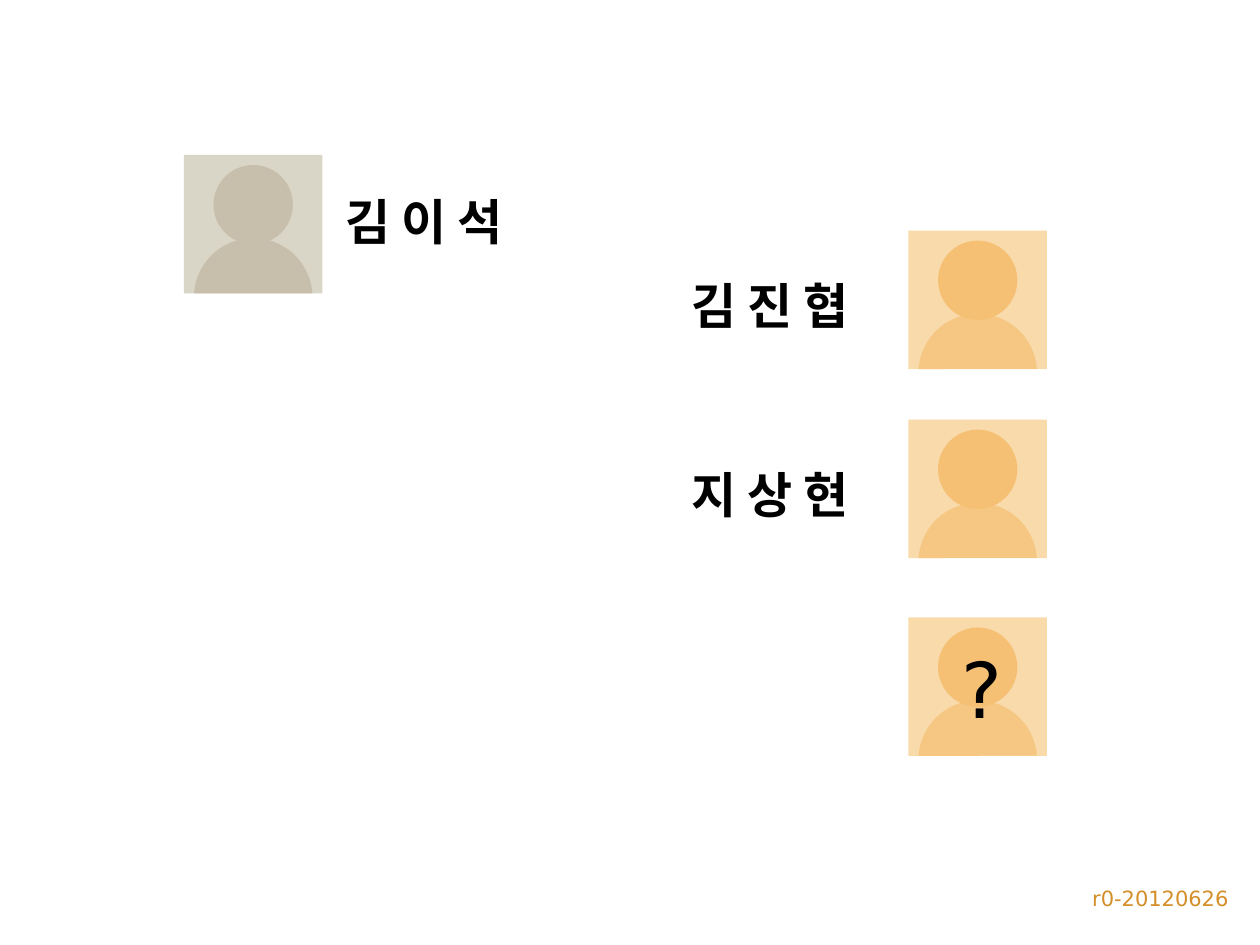
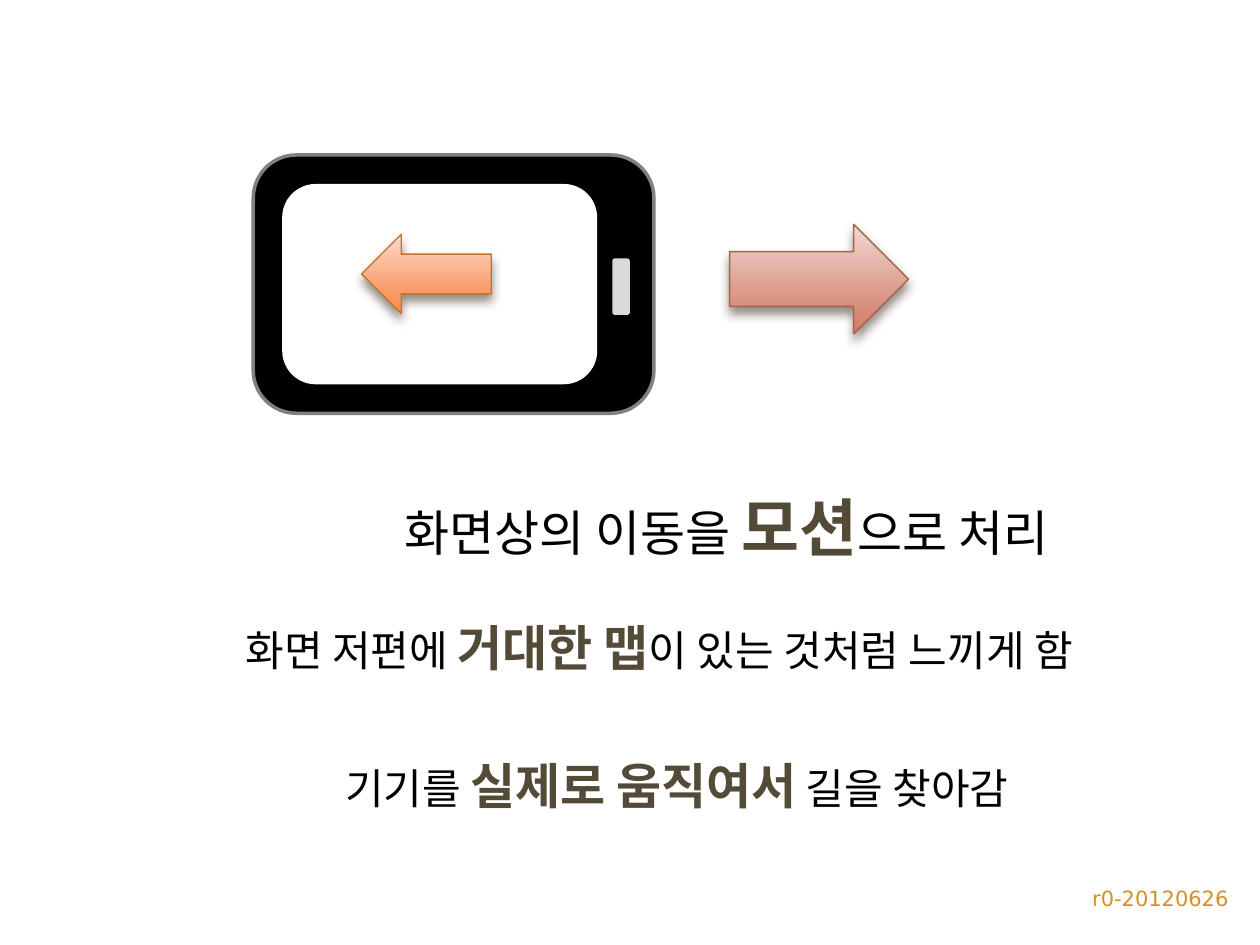
from copy import deepcopy
from pptx import Presentation
from pptx.dml.color import RGBColor
from pptx.enum.shapes import MSO_SHAPE
from pptx.enum.text import MSO_AUTO_SIZE, PP_ALIGN
from pptx.oxml import parse_xml
from pptx.oxml.ns import nsdecls, qn
from pptx.util import Inches, Pt

FONT = "DejaVu Sans"
BLACK, WHITE, BROWN, AMBER = "000000", "FFFFFF", "534B38", "D48F29"
FOOTER = "r0-20120626"

GREY = ("D9D5C7", "C7BFAC", "C7BFAC")
ORANGE = ("F9DAAB", "F6C782", "F5C073")
TILE, BODY, HEAD = 1.1, 0.94, 0.63
PEOPLE = [
    (1.46, 1.23, GREY),
    (7.21, 1.83, ORANGE),
    (7.21, 3.33, ORANGE),
    (7.21, 4.9, ORANGE),
]
NAMES = [
    ("김 이 석", (2.64, 1.47, 1.59, 0.57)),
    ("김 진 협", (5.39, 2.14, 1.58, 0.57)),
    ("지 상 현", (5.39, 3.64, 1.58, 0.57)),
]
UNKNOWN = ("?", (7.53, 5.04, 0.54, 0.84))

PHONE = [
    ((2.01, 1.23, 3.18, 2.05), BLACK, ("808080", 2)),
    ((2.24, 1.46, 2.5, 1.59), WHITE, None),
    ((4.86, 2.05, 0.14, 0.45), "D9D9D9", None),
]
ARROWS = [
    ((5.79, 1.78, 1.42, 0.87), ("F1D9D4", "D89180", "D47A62"), "A5644E", False),
    ((2.87, 1.86, 1.03, 0.63), ("FDDBCC", "F89B69", "FC8A43"), "C17529", True),
]
STOPS = (0, 0.72, 1)
POINTS = [
    (("화면상의 이동을 ", "모션", "으로 처리"), 28, 36, (3.11, 3.83, 5.64, 0.71)),
    (("화면 저편에 ", "거대한 맵", "이 있는 것처럼 느끼게 함"), 24, 28,
     (1.85, 4.85, 7.27, 0.57)),
    (("기기를 ", "실제로 움직여서", " 길을 찾아감"), 24, 28,
     (2.64, 5.95, 5.81, 0.57)),
]


def color(code):
    return RGBColor.from_string(code)


def place(box):
    return [Inches(n) for n in box]


def write(slide, text, box, size=28, fill=BLACK, bold=False, strong=None,
          align=PP_ALIGN.LEFT, wrap=False):
    frame = slide.shapes.add_textbox(*place(box)).text_frame
    frame.word_wrap = wrap
    frame.auto_size = MSO_AUTO_SIZE.NONE if wrap else MSO_AUTO_SIZE.SHAPE_TO_FIT_TEXT
    line = frame.paragraphs[0]
    line.alignment = align
    parts = [text] if isinstance(text, str) else text
    for i, part in enumerate(parts):
        key = strong is not None and i == 1
        run = line.add_run()
        run.text = part
        font = run.font
        font.name = FONT
        font.size = Pt(strong if key else size)
        font.bold = bold or key
        font.color.rgb = color(BROWN if key else fill)


def draw(shapes, kind, box, fill=None, line=None):
    shape = shapes.add_shape(kind, *place(box))
    shape.shadow.inherit = False
    if fill:
        shape.fill.solid()
        shape.fill.fore_color.rgb = color(fill)
    if line:
        shape.line.color.rgb = color(line[0])
        shape.line.width = Pt(line[1])
    else:
        shape.line.fill.background()
    return shape


def person(slide, x, y, tones):
    back, body, head = tones
    shapes = slide.shapes.add_group_shape().shapes
    draw(shapes, MSO_SHAPE.RECTANGLE, (x, y, TILE, TILE), back)
    bust = draw(shapes, MSO_SHAPE.CHORD,
                (x + (TILE - BODY) / 2, y + 0.66, BODY, BODY), body)
    bust.adjustments[0] = 110.27
    bust.adjustments[1] = 213.68
    draw(shapes, MSO_SHAPE.OVAL,
         (x + (TILE - HEAD) / 2, y + 0.08, HEAD, HEAD), head)


def arrow(slide, box, tones, edge, flip):
    shape = draw(slide.shapes, MSO_SHAPE.RIGHT_ARROW, box, line=(edge, 0.79))
    props = shape._element.spPr
    shape.fill.gradient()
    shape.fill.gradient_angle = 270
    stops = props.find(qn("a:gradFill")).find(qn("a:gsLst"))
    stops.append(deepcopy(stops[-1]))
    for stop, tone, spot in zip(shape.fill.gradient_stops, tones, STOPS):
        stop.color.rgb = color(tone)
        stop.position = spot
    if flip:
        props.find(qn("a:xfrm")).set("flipH", "1")
    props.find(qn("a:effectLst")).append(parse_xml(
        f'<a:outerShdw {nsdecls("a")} blurRad="{Pt(6)}" dist="{Pt(4)}" '
        'dir="5400000" rotWithShape="0"><a:srgbClr val="4E3B30">'
        '<a:alpha val="60000"/></a:srgbClr></a:outerShdw>'))


def page(deck):
    slide = deck.slides.add_slide(deck.slide_layouts[6])
    write(slide, FOOTER, (6.18, 6.98, 3.67, 0.32), size=12, fill=AMBER,
          align=PP_ALIGN.RIGHT, wrap=True)
    return slide


def team(deck):
    slide = page(deck)
    for x, y, tones in PEOPLE:
        person(slide, x, y, tones)
    for name, box in NAMES:
        write(slide, name, box, bold=True)
    write(slide, *UNKNOWN, size=44)


def motion(deck):
    slide = page(deck)
    phone = slide.shapes.add_group_shape().shapes
    for box, fill, line in PHONE:
        draw(phone, MSO_SHAPE.ROUNDED_RECTANGLE, box, fill, line)
    for item in ARROWS:
        arrow(slide, *item)
    for parts, size, strong, box in POINTS:
        write(slide, parts, box, size=size, strong=strong)


def main():
    deck = Presentation()
    deck.slide_width, deck.slide_height = Inches(10), Inches(7.5)
    team(deck)
    motion(deck)
    deck.save("out.pptx")


if __name__ == "__main__":
    main()
